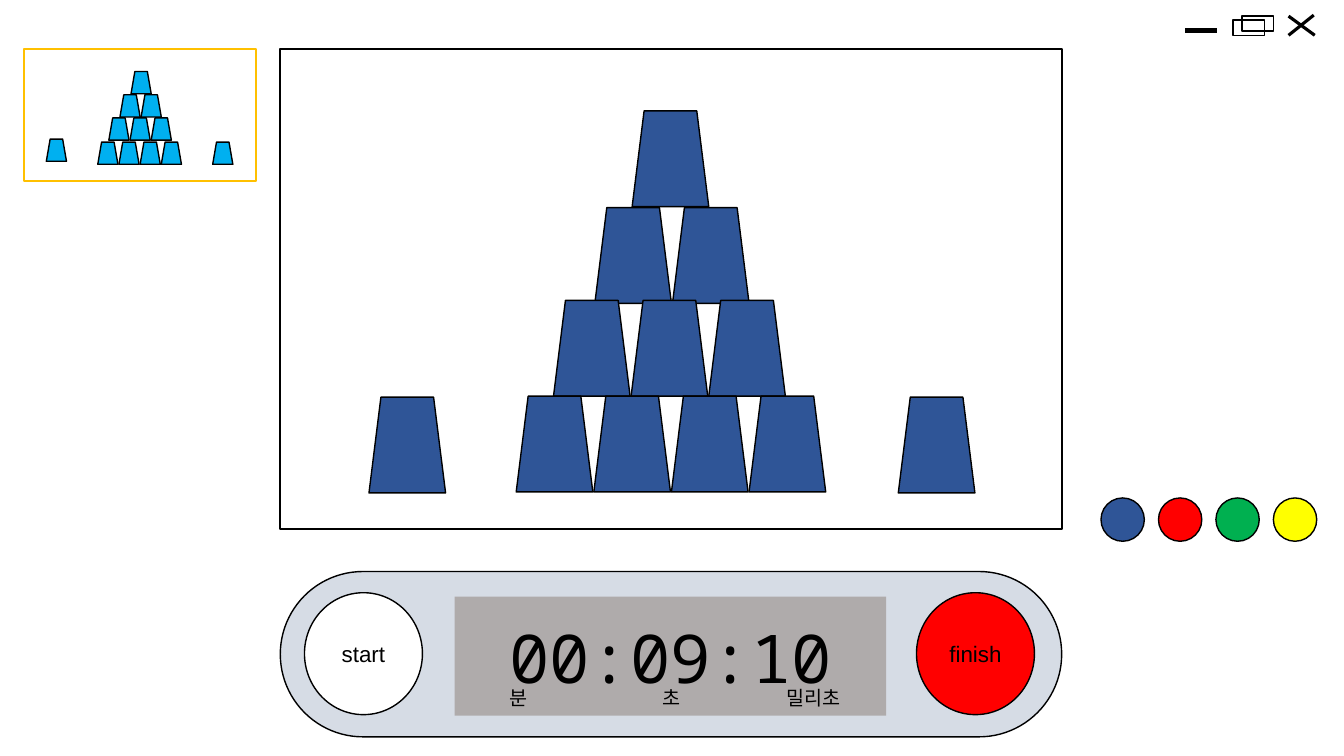
from dataclasses import dataclass
from typing import Optional

from lxml.etree import SubElement
from pptx import Presentation
from pptx.dml.color import RGBColor
from pptx.enum.shapes import MSO_CONNECTOR, MSO_SHAPE
from pptx.enum.text import MSO_ANCHOR, MSO_AUTO_SIZE, PP_ALIGN
from pptx.oxml.ns import qn
from pptx.util import Inches, Pt


@dataclass(frozen=True)
class Theme:
    black: str = "000000"
    white: str = "FFFFFF"
    blue: str = "2F5597"
    sky: str = "00B0F0"
    red: str = "FF0000"
    green: str = "00B050"
    yellow: str = "FFFF00"
    gold: str = "FFC000"
    panel: str = "D6DCE5"
    display: str = "AFABAB"
    font: str = "Arial"
    clock_font: str = "Noto Sans Mono"
    clock_size: int = 48
    button_size: int = 16
    unit_size: int = 14
    thin: float = 1
    frame: float = 1.5
    cross: float = 2.25
    minimize: float = 3.5


THEME = Theme()


@dataclass(frozen=True)
class Box:
    left: float
    top: float
    width: float
    height: float

    def lengths(self) -> tuple:
        return tuple(map(Inches, (self.left, self.top, self.width, self.height)))


@dataclass(frozen=True)
class CupStack:
    """Rows of cups from the top down, plus the single cups beside them."""
    row_starts: tuple
    pitch: float
    singles: tuple
    width: float
    height: float
    taper: float
    fill: str


@dataclass(frozen=True)
class Button:
    label: str
    left: float
    fill: str


@dataclass(frozen=True)
class UnitLabel:
    text: str
    left: float
    width: float


@dataclass(frozen=True)
class Stroke:
    start: tuple
    end: tuple
    weight: float


BIG_STACK = CupStack(
    row_starts=((6.27, 1.1), (5.9, 2.06), (5.49, 2.98), (5.12, 3.93)), pitch=0.77,
    singles=((3.66, 3.94), (8.91, 3.94)),
    width=0.76, height=0.95, taper=0.156, fill=THEME.blue)
SMALL_STACK = CupStack(
    row_starts=((1.3, 0.71), (1.19, 0.94), (1.08, 1.17), (0.97, 1.41)), pitch=0.21,
    singles=((0.46, 1.38), (2.11, 1.41)),
    width=0.2, height=0.22, taper=0.189, fill=THEME.sky)
BUTTONS = (Button("start", 3.02, THEME.white), Button("finish", 9.09, THEME.red))
UNITS = (UnitLabel("분", 4.96, 0.4), UnitLabel("초", 6.47, 0.4), UnitLabel("밀리초", 7.7, 0.79))
SWATCHES = (THEME.blue, THEME.red, THEME.green, THEME.yellow)
WINDOW_STROKES = (
    Stroke((12.07, 0.3), (11.75, 0.3), THEME.minimize),
    Stroke((12.78, 0.16), (13.04, 0.35), THEME.cross),
    Stroke((13.03, 0.15), (12.78, 0.35), THEME.cross))


def add_figure(shapes, kind: MSO_SHAPE, box: Box, fill: Optional[str],
               line: Optional[str] = THEME.black, weight: float = THEME.thin,
               adjust: Optional[float] = None):
    shape = shapes.add_shape(kind, *box.lengths())
    shape.shadow.inherit = False
    if adjust is not None:
        shape.adjustments[0] = adjust
    if fill:
        shape.fill.solid()
        shape.fill.fore_color.rgb = RGBColor.from_string(fill)
    else:
        shape.fill.background()
    if line:
        shape.line.color.rgb = RGBColor.from_string(line)
        shape.line.width = Pt(weight)
    else:
        shape.line.fill.background()
    return shape


def write_text(shape, text: str, size: int, font: str = THEME.font,
               align: PP_ALIGN = PP_ALIGN.CENTER) -> None:
    frame = shape.text_frame
    frame.text = text
    para = frame.paragraphs[0]
    para.alignment = align
    for span in para.runs:
        span.font.size = Pt(size)
        span.font.name = font
        span.font.color.rgb = RGBColor.from_string(THEME.black)


def add_stroke(shapes, stroke: Stroke) -> None:
    connector = shapes.add_connector(
        MSO_CONNECTOR.STRAIGHT, *map(Inches, stroke.start + stroke.end))
    connector.line.color.rgb = RGBColor.from_string(THEME.black)
    connector.line.width = Pt(stroke.weight)
    SubElement(connector._element.spPr, qn("a:effectLst"))


def add_stack(shapes, stack: CupStack) -> None:
    places = [(left + column * stack.pitch, top)
              for row, (left, top) in enumerate(stack.row_starts)
              for column in range(row + 1)]
    for left, top in (*places, *stack.singles):
        add_figure(shapes, MSO_SHAPE.TRAPEZOID, Box(left, top, stack.width, stack.height),
                   stack.fill, adjust=stack.taper)


def add_timer(shapes) -> None:
    parts = shapes.add_group_shape().shapes
    add_figure(parts, MSO_SHAPE.ROUNDED_RECTANGLE, Box(2.78, 5.67, 7.75, 1.64),
               THEME.panel, adjust=0.5)
    for button in BUTTONS:
        circle = add_figure(parts, MSO_SHAPE.OVAL, Box(button.left, 5.88, 1.17, 1.21), button.fill)
        circle.text_frame.vertical_anchor = MSO_ANCHOR.MIDDLE
        write_text(circle, button.label, THEME.button_size)
    display = add_figure(parts, MSO_SHAPE.RECTANGLE, Box(4.51, 5.92, 4.28, 1.18),
                         THEME.display, line=None)
    display.text_frame.vertical_anchor = MSO_ANCHOR.MIDDLE
    write_text(display, "00:09:10", THEME.clock_size, THEME.clock_font)


def add_unit(shapes, unit: UnitLabel) -> None:
    box = shapes.add_textbox(*Box(unit.left, 6.76, unit.width, 0.34).lengths())
    box.text_frame.word_wrap = False
    box.text_frame.auto_size = MSO_AUTO_SIZE.SHAPE_TO_FIT_TEXT
    write_text(box, unit.text, THEME.unit_size, align=PP_ALIGN.LEFT)


def main() -> None:
    deck = Presentation()
    deck.slide_width, deck.slide_height = Inches(13.33), Inches(7.5)
    page = deck.slides.add_slide(deck.slide_layouts[6])
    shapes = page.shapes

    # Play area and goal preview
    add_figure(shapes, MSO_SHAPE.RECTANGLE, Box(2.78, 0.49, 7.75, 4.76),
               THEME.white, weight=THEME.frame)
    add_stack(shapes, BIG_STACK)
    add_figure(shapes, MSO_SHAPE.RECTANGLE, Box(0.24, 0.49, 2.3, 1.31),
               THEME.white, THEME.gold, THEME.frame)
    add_stack(shapes, SMALL_STACK)

    # Timer with its units
    add_timer(shapes)
    for unit in UNITS:
        add_unit(shapes, unit)

    # Cup colour choices
    for index, colour in enumerate(SWATCHES):
        add_figure(shapes, MSO_SHAPE.OVAL, Box(10.92 + index * 0.57, 4.94, 0.43, 0.43), colour)

    # Window controls
    for left, top in ((12.23, 0.2), (12.32, 0.16)):
        add_figure(shapes, MSO_SHAPE.RECTANGLE, Box(left, top, 0.31, 0.15), None)
    for stroke in WINDOW_STROKES:
        add_stroke(shapes, stroke)

    deck.save("out.pptx")


if __name__ == "__main__":
    main()
